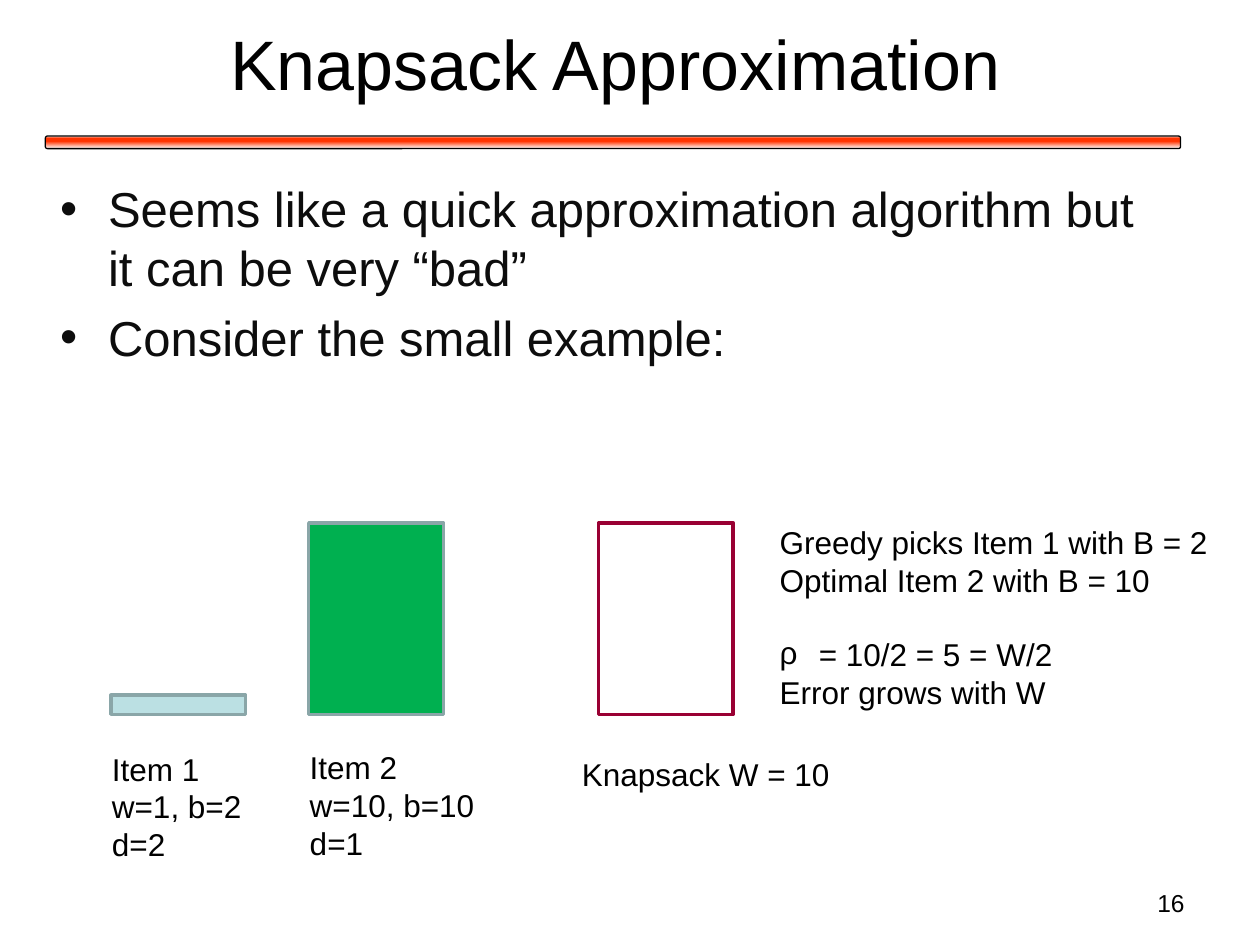
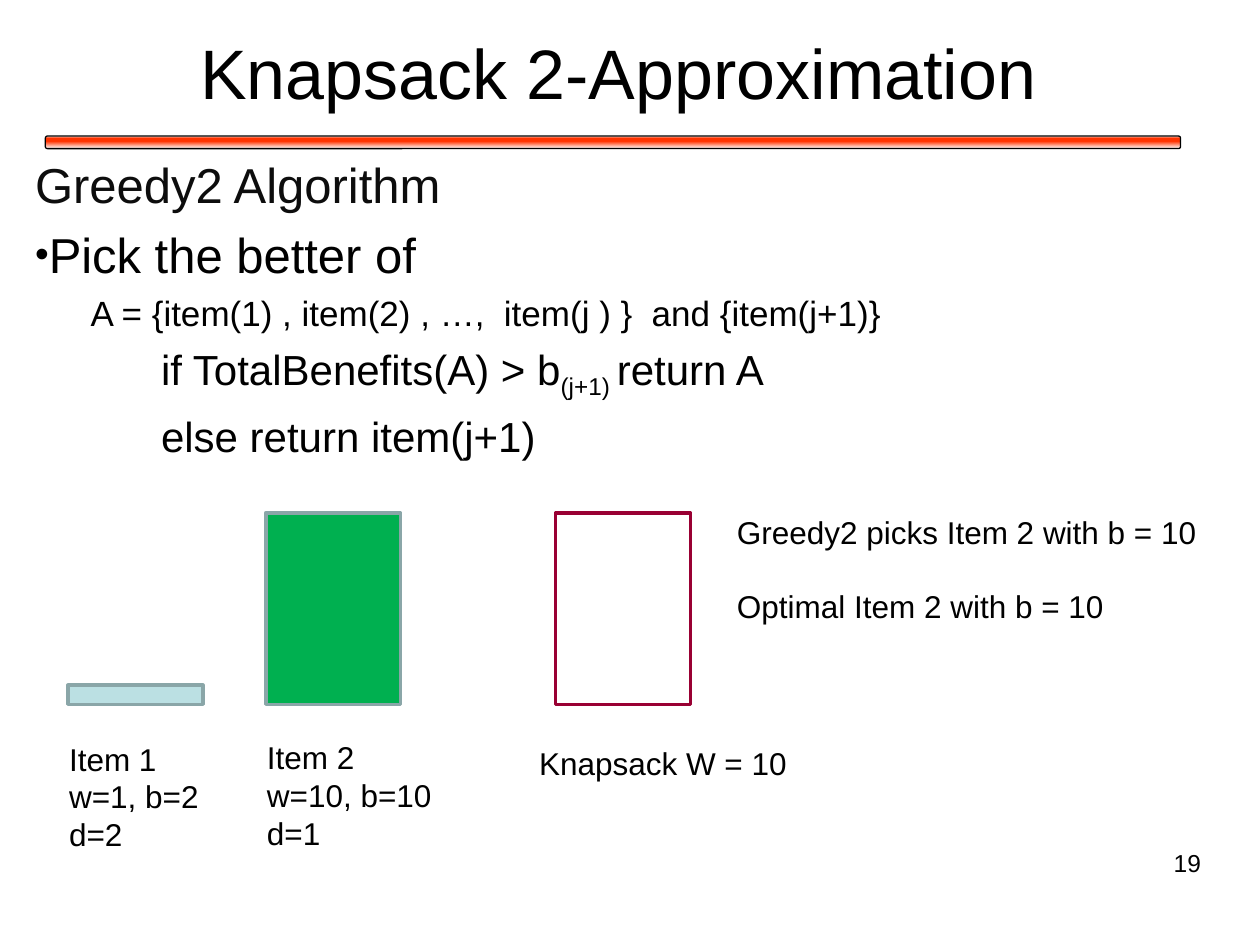
from lxml import etree
from pptx import Presentation
from pptx import util as u
from pptx.dml.color import RGBColor
from pptx.enum import shapes, text
from pptx.oxml import ns

BLACK = RGBColor(0, 0, 0)
INK = RGBColor(0x0D, 0x0D, 0x0D)
WHITE = RGBColor(0xFF, 0xFF, 0xFF)
RED = RGBColor(0xFF, 0x33, 0x00)
PALE = RGBColor(0xBB, 0xE0, 0xE3)
GREEN = RGBColor(0x00, 0xB0, 0x50)
GREY = RGBColor(0x8A, 0xA6, 0xA8)
WINE = RGBColor(0x99, 0x00, 0x33)
FONT = "Arial"
WIDE, HIGH = u.Inches(10), u.Inches(7.5)
COL, ROW = WIDE / 100, HIGH / 75  # grid of 100 columns by 75 rows
BAND = (3.6, 10.8, 90.1, 1)
STOPS = ((0, WHITE), (16, RED), (42, RED), (100, WHITE))
LEFT, MID, RIGHT = text.PP_ALIGN.LEFT, text.PP_ALIGN.CENTER, text.PP_ALIGN.RIGHT


def grid(x, y, w, h):
    """Turn columns and rows into slide lengths."""
    return [int(n) for n in (x * COL, y * ROW, w * COL, h * ROW)]


def style(para, size, color=BLACK, align=LEFT):
    para.alignment = align
    for run in para.runs:
        run.font.name, run.font.size = FONT, u.Pt(size)
        run.font.color.rgb = color


def indent(para, left, first=0, mark=None, scale=100):
    """Set margins in columns and an optional bullet mark."""
    props = para._p.get_or_add_pPr()
    props.set("marL", str(int(left * COL)))
    props.set("indent", str(int(first * COL)))
    if mark:
        etree.SubElement(props, ns.qn("a:buSzPct"), val=str(scale * 1000))
        etree.SubElement(props, ns.qn("a:buFont"), typeface=FONT)
        etree.SubElement(props, ns.qn("a:buChar"), char=mark)


def write(slide, box, lines, size=18, color=BLACK, align=LEFT, wrap=False):
    frame = slide.shapes.add_textbox(*grid(*box)).text_frame
    frame.word_wrap = wrap
    frame.text = "\n".join(lines)
    for para in frame.paragraphs:
        style(para, size, color, align)
    return frame.paragraphs


def block(slide, box, line, width, fill=None, kind=shapes.MSO_SHAPE.RECTANGLE):
    shape = slide.shapes.add_shape(kind, *grid(*box))
    shape.shadow.inherit = False
    shape.line.color.rgb, shape.line.width = line, u.Pt(width)
    if fill is None:
        shape.fill.background()
    else:
        shape.fill.solid()
        shape.fill.fore_color.rgb = fill
    return shape


def band(slide):
    """Red gradient rule under the title."""
    bar = block(slide, BAND, BLACK, 0.75, kind=shapes.MSO_SHAPE.ROUNDED_RECTANGLE)
    bar.fill.gradient()
    bar.fill.gradient_angle = 270
    stops = bar._element.spPr.find(".//" + ns.qn("a:gsLst"))
    for old in list(stops):
        stops.remove(old)
    for pos, color in STOPS:
        stop = etree.SubElement(stops, ns.qn("a:gs"), pos=str(pos * 1000))
        etree.SubElement(stop, ns.qn("a:srgbClr"), val=str(color))


def base(deck, name, head, page, foot):
    """Slide with its rule, title and page number."""
    slide = deck.slides.add_slide(deck.slide_layouts[5])
    band(slide)
    title = slide.shapes.title
    title.left, title.top, title.width, title.height = grid(*head)
    frame = title.text_frame
    frame.text = name
    frame.vertical_anchor = text.MSO_ANCHOR.MIDDLE
    style(frame.paragraphs[0], 40, align=MID)
    write(slide, foot, [page], 14, align=RIGHT, wrap=True)
    return slide


def scene(slide, x, y, notes, wide):
    """Items, knapsack and verdict, measured from the corner x, y."""
    step, unit, floor = 15.7, 1.52, 15.7
    items = ((1, 2, 2, PALE, 12.4, 18), (10, 10, 1, GREEN, 15.2, 17.9))
    for i, (load, gain, ratio, fill, span, drop) in enumerate(items):
        left, tall = x + i * step, load * unit
        block(slide, (left + 0.9, y + floor - tall, 10.7, tall), GREY, 2, fill)
        write(slide, (left, y + drop, span, 10.1),
              [f"Item {i + 1}", f"w={load}, b={gain}", f"d={ratio}"])
    tall = 10 * unit
    block(slide, (x + 39.6, y + floor - tall, 10.7, tall), WINE, 2)
    write(slide, (x + 37.3, y + 18.4, 21.9, 4), ["Knapsack W = 10"])
    return write(slide, (x + 53, y, wide, 16.2), notes)


def first(deck):
    slide = base(deck, "Knapsack Approximation", (3.8, 0, 90, 9.9),
                 "16", (71.7, 70, 23.3, 3.5))
    # Opening points
    points = write(slide, (3.8, 13.7, 90, 16), [
        "Seems like a quick approximation algorithm but it can be very “bad”",
        "Consider the small example:"], 28, INK, wrap=True)
    for para in points:
        indent(para, 3.8, -3.8, "•")
    points[1].space_before = u.Pt(6.4)
    # Example
    notes = scene(slide, 7.9, 41, [
        "Greedy picks Item 1 with B = 2", "Optimal Item 2 with B = 10",
        "= 10/2 = 5 = W/2", "Error grows with W"], 36.3)
    indent(notes[2], 3.1, -3.1, "ρ")
    notes[2].space_before = u.Pt(21)


def second(deck):
    slide = base(deck, "Knapsack 2-Approximation", (4.3, -0.1, 89.5, 11.5),
                 "19", (91.3, 66.8, 5, 4))
    # Algorithm steps: text, size, colour, left margin
    steps = (
        ("Greedy2 Algorithm", 28, INK, 0),
        ("Pick the better of", 28, BLACK, 0),
        ("A = {item(1) , item(2) , …,  item(j ) }  and {item(j+1)}", 20, BLACK, 4.4),
        ("if TotalBenefits(A) > b", 24, BLACK, 10),
        ("else return item(j+1)", 24, BLACK, 10))
    paras = write(slide, (1.8, 11.8, 89.5, 27), [s[0] for s in steps], wrap=True)
    for tail in ("(j+1) ", "return A"):
        paras[3].add_run().text = tail
    for i, (para, (_, size, color, left)) in enumerate(zip(paras, steps)):
        style(para, size, color)
        if i:
            para.space_before = u.Pt(round(size * 0.23, 1))
        if i == 1:
            indent(para, left, -4.4, "•", 80)
        else:
            indent(para, left)
    paras[3].runs[1].font._element.set("baseline", "-25000")
    # Example
    notes = scene(slide, 4.5, 40.2, [
        "Greedy2 picks Item 2 with b = 10", "Optimal Item 2 with b = 10"], 38.8)
    notes[1].space_before = u.Pt(21)


def main():
    deck = Presentation()
    deck.slide_width, deck.slide_height = WIDE, HIGH
    first(deck)
    second(deck)
    deck.save("out.pptx")


if __name__ == "__main__":
    main()
